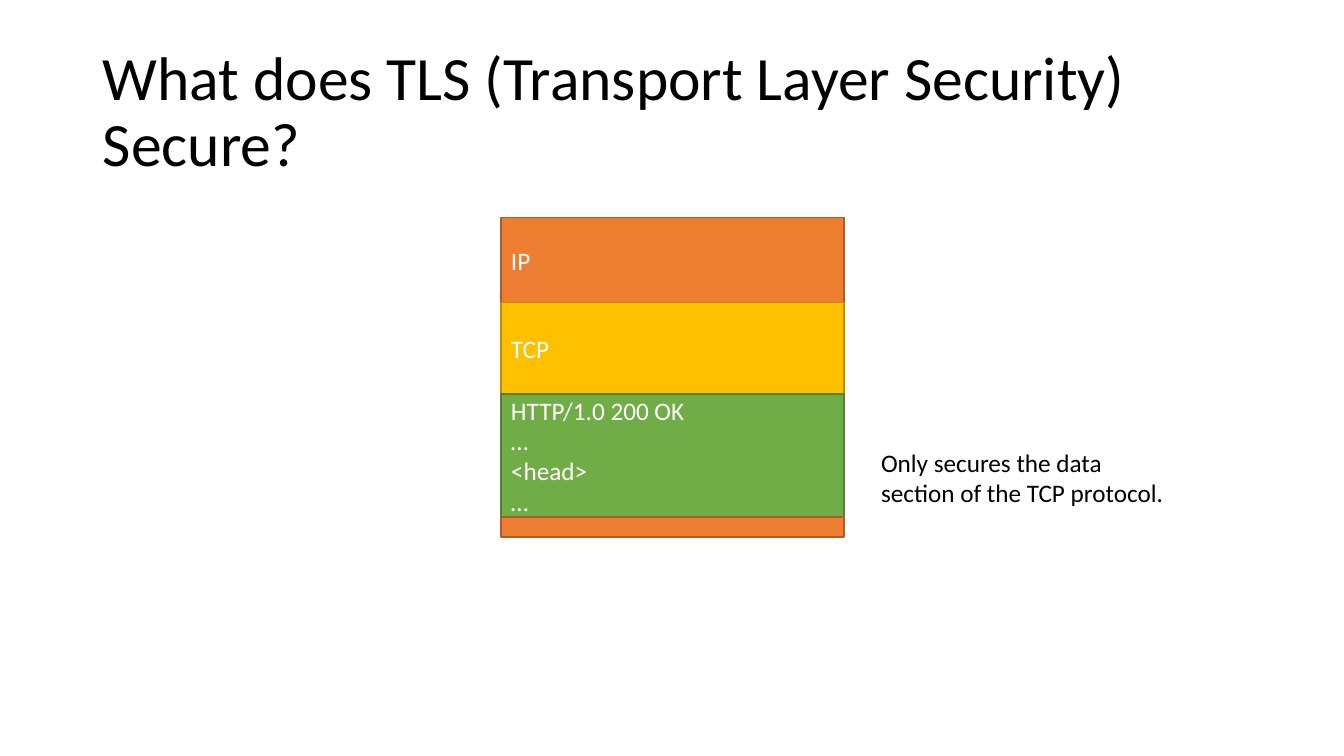
from dataclasses import dataclass

from pptx import Presentation
from pptx.dml.color import RGBColor
from pptx.enum.shapes import MSO_SHAPE
from pptx.enum.text import MSO_ANCHOR, MSO_AUTO_SIZE, PP_ALIGN
from pptx.util import Inches, Pt

RECTANGLE = MSO_SHAPE.RECTANGLE
MIDDLE, TOP = MSO_ANCHOR.MIDDLE, MSO_ANCHOR.TOP
LEFT = PP_ALIGN.LEFT
NO_FIT, GROW = MSO_AUTO_SIZE.NONE, MSO_AUTO_SIZE.SHAPE_TO_FIT_TEXT
TITLE_ONLY = 5


@dataclass(frozen=True)
class Theme:
    """Hold the font, type sizes and colours (fill, outline) of the slide."""

    font: str = "Calibri"
    title_size: int = 44
    body_size: int = 18
    outline: int = 1
    ink: str = "000000"
    light: str = "FFFFFF"
    ip: tuple = ("ED7D31", "AF5C24")
    tcp: tuple = ("FFC000", "BD8E00")
    data: tuple = ("70AD47", "538035")


THEME = Theme()
PACKET_LAYERS = [
    ("IP", 0.84, THEME.ip),
    ("TCP", 0.91, THEME.tcp),
    ("HTTP/1.0 200 OK\n…\n<head>\n…", 1.22, THEME.data),
    ("", 0.2, THEME.ip),
]


def write(frame, text, size, color, anchor, fit=NO_FIT, spacing=1.0):
    """Fill a text frame with left-aligned, wrapped text in the theme font."""
    frame.text = text
    frame.word_wrap = True
    frame.auto_size = fit
    frame.vertical_anchor = anchor
    for paragraph in frame.paragraphs:
        paragraph.alignment = LEFT
        paragraph.line_spacing = spacing
        for run in paragraph.runs:
            run.font.name = THEME.font
            run.font.size = Pt(size)
            run.font.color.rgb = RGBColor.from_string(color)


def add_heading(slide, box, text):
    """Move the title placeholder into the box and write the heading."""
    heading = slide.shapes.title
    heading.left, heading.top, heading.width, heading.height = map(Inches, box)
    write(heading.text_frame, text, THEME.title_size, THEME.ink, MIDDLE, spacing=0.9)


def add_packet(slide, box, layers):
    """Stack the grouped packet layers downwards, scaled to the box height."""
    left, top, width, height = box
    scale = height / sum(layer_height for _, layer_height, _ in layers)
    packet = slide.shapes.add_group_shape()
    for text, layer_height, (fill, outline) in layers:
        layer_height *= scale
        layer = packet.shapes.add_shape(
            RECTANGLE, Inches(left), Inches(top), Inches(width), Inches(layer_height)
        )
        layer.shadow.inherit = False
        layer.fill.solid()
        layer.fill.fore_color.rgb = RGBColor.from_string(fill)
        layer.line.color.rgb = RGBColor.from_string(outline)
        layer.line.width = Pt(THEME.outline)
        if text:
            write(layer.text_frame, text, THEME.body_size, THEME.light, MIDDLE)
        top += layer_height


def add_remark(slide, box, text):
    """Place the remark beside the packet."""
    remark = slide.shapes.add_textbox(*map(Inches, box))
    write(remark.text_frame, text, THEME.body_size, THEME.ink, TOP, GROW)


def build():
    """Build the slide and save the presentation."""
    deck = Presentation()
    deck.slide_width, deck.slide_height = Inches(13.33), Inches(7.5)
    slide = deck.slides.add_slide(deck.slide_layouts[TITLE_ONLY])
    add_heading(
        slide, (0.92, 0.4, 11.5, 1.45), "What does TLS (Transport Layer Security) Secure?"
    )
    add_packet(slide, (4.97, 2.16, 3.4, 3.17), PACKET_LAYERS)
    add_remark(
        slide, (8.64, 4.39, 3.17, 0.71), "Only secures the data section of the TCP protocol."
    )
    deck.save("out.pptx")


build()
